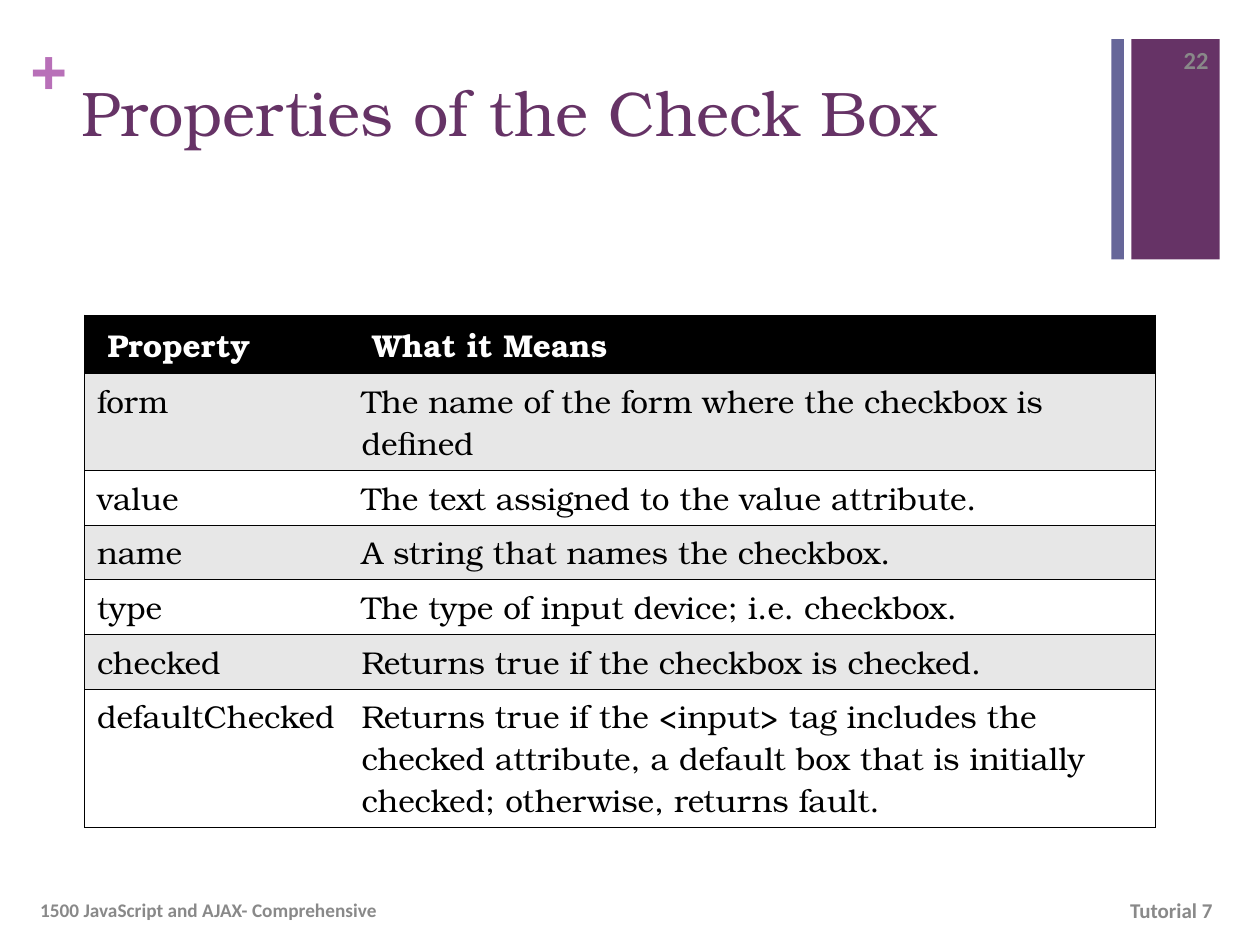
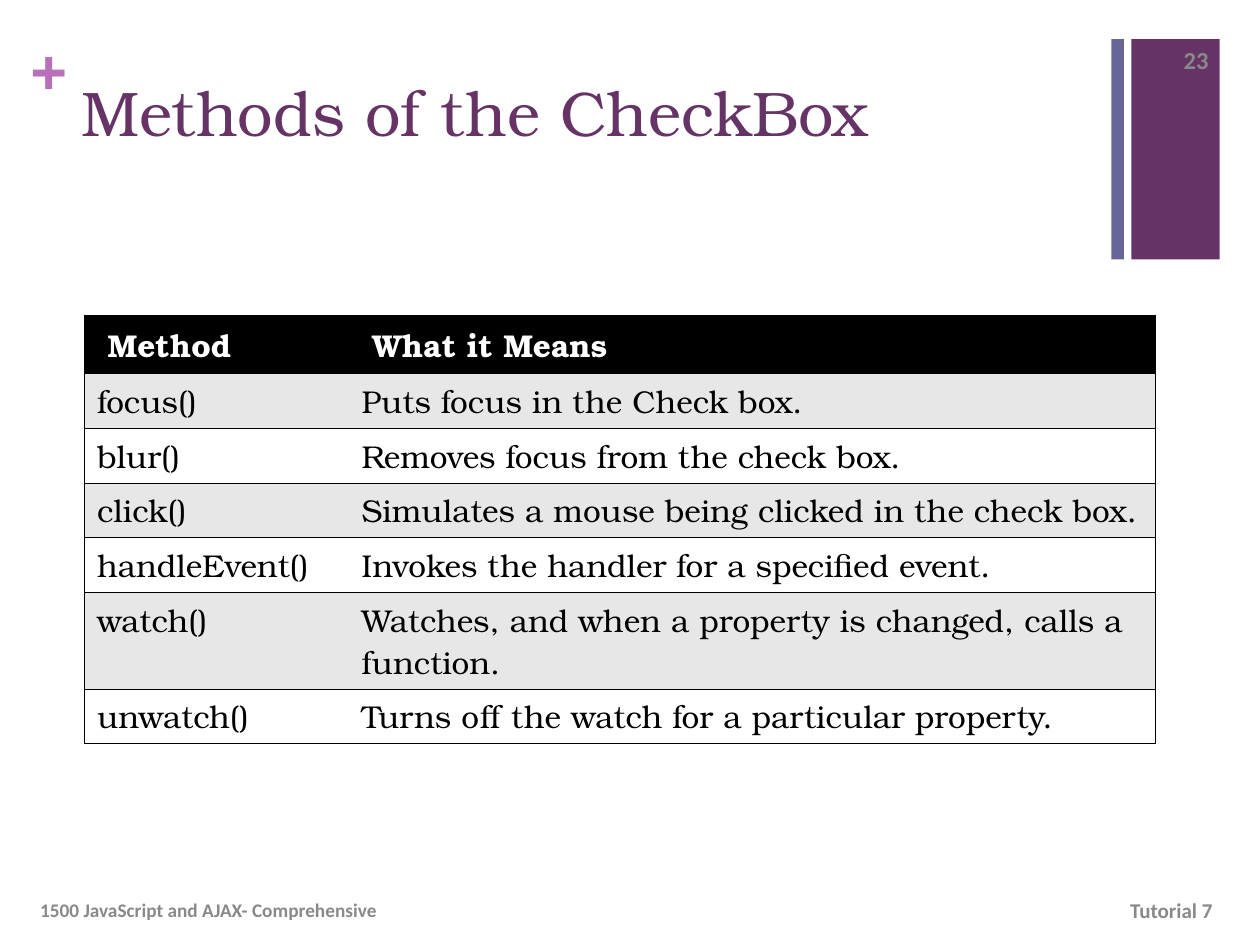
from dataclasses import dataclass
from lxml.etree import SubElement
from pptx import Presentation
from pptx.dml.color import RGBColor
from pptx.enum.shapes import MSO_SHAPE as Shape
from pptx.enum.text import MSO_ANCHOR as Anchor, MSO_AUTO_SIZE as AutoSize, PP_ALIGN as Align
from pptx.oxml.ns import qn
from pptx.util import Inches, Pt

SLIDES = [
    {
        "title": "Properties of the Check Box",
        "number": "22",
        "header": (" Property", " What it Means"),
        "entries": [
            ("form", "The name of the form where the checkbox is defined"),
            ("value", "The text assigned to the value attribute."),
            ("name", "A string that names the checkbox."),
            ("type", "The type of input device; i.e. checkbox."),
            ("checked", "Returns true if the checkbox is checked."),
            ("defaultChecked",
             "Returns true if the <input> tag includes the checked attribute, "
             "a default box that is initially checked; otherwise, returns fault."),
        ],
        "tall_row": (6, 1.0),
    },
    {
        "title": "Methods of the CheckBox",
        "number": "23",
        "header": (" Method", " What it Means"),
        "entries": [
            ("focus()", "Puts focus in the Check box."),
            ("blur()", "Removes focus from the check box."),
            ("click()", "Simulates a mouse being clicked in the check box."),
            ("handleEvent()", "Invokes the handler for a specified event."),
            ("watch()", "Watches, and when a property is changed, calls a function."),
            ("unwatch()", "Turns off the watch for a particular property."),
        ],
        "tall_row": (5, 0.7),
    },
]
COURSE = "1500 JavaScript and AJAX- Comprehensive"
TUTORIAL = "Tutorial 7 "


@dataclass(frozen=True)
class Style:
    size: float
    font: str
    color: str
    bold: bool = False


@dataclass(frozen=True)
class Theme:
    purple: str = "663366"
    slate: str = "666699"
    black: str = "000000"
    stripe: str = "E7E7E7"
    white: str = "FFFFFF"
    rule: float = 0.45
    title: Style = Style(36, "TeX Gyre Bonum", "663366")
    plus: Style = Style(36, "Arial", "B870B8", True)
    header: Style = Style(18, "TeX Gyre Bonum", "FFFFFF", True)
    entry: Style = Style(18, "TeX Gyre Bonum", "000000")
    course: Style = Style(11, "Calibri", "898989", True)
    tutorial: Style = Style(12, "Calibri", "898989", True)
    number: Style = Style(14, "Calibri", "898989", True)


THEME = Theme()
WIDTH, HEIGHT = 10, 7.5
TITLE_AREA = (0.55, 0.53, 8.26, 1.22)
PLUS_AREA = (0.24, 0.25, 0.28, 0.6)
FOOTER_TOP, LINE_HEIGHT = 7.02, 0.4
BAND_TOP, BAND_HEIGHT = 0.31, 1.75
BANDS = [(8.98, 0.7, THEME.purple), (8.82, 0.1, THEME.slate)]
TABLE_LEFT, TABLE_TOP = 0.67, 2.5
COLUMNS = (2.1, 6.4)
REGULAR_ROWS_HEIGHT = 2.43


def inches(*lengths):
    return [Inches(length) for length in lengths]


def write(frame, text, style, align=Align.LEFT):
    paragraph = frame.paragraphs[0]
    paragraph.alignment = align
    run = paragraph.add_run()
    run.text = text
    run.font.size = Pt(style.size)
    run.font.name = style.font
    run.font.bold = style.bold
    run.font.color.rgb = RGBColor.from_string(style.color)


def add_label(slide, area, text, style, align=Align.LEFT, anchor=Anchor.MIDDLE, inset=(0.1, 0.05)):
    frame = slide.shapes.add_textbox(*inches(*area)).text_frame
    frame.word_wrap = True
    frame.vertical_anchor = anchor
    frame.margin_left = frame.margin_right = Inches(inset[0])
    frame.margin_top = frame.margin_bottom = Inches(inset[1])
    write(frame, text, style, align)


def add_title(slide, text):
    title = slide.shapes.title
    title.left, title.top, title.width, title.height = inches(*TITLE_AREA)
    title.text_frame.vertical_anchor = Anchor.TOP
    title.text_frame.auto_size = AutoSize.NONE
    write(title.text_frame, text, THEME.title)


def add_frame(slide, number):
    for left, width, color in BANDS:
        band = slide.shapes.add_shape(Shape.RECTANGLE, *inches(left, BAND_TOP, width, BAND_HEIGHT))
        band.shadow.inherit = False
        band.fill.solid()
        band.fill.fore_color.rgb = RGBColor.from_string(color)
        band.line.fill.background()
    add_label(slide, PLUS_AREA, "+", THEME.plus, anchor=Anchor.TOP, inset=(0, 0))
    add_label(slide, (7.43, FOOTER_TOP, 2.33, LINE_HEIGHT), TUTORIAL, THEME.tutorial, Align.RIGHT)
    add_label(slide, (0.22, FOOTER_TOP, 6.7, LINE_HEIGHT), COURSE, THEME.course)
    add_label(slide, (9.08, 0.27, 0.61, LINE_HEIGHT), number, THEME.number, Align.RIGHT)


def rule_cell(cell, ruled_sides):
    properties = cell._tc.get_or_add_tcPr()
    for side in "LRTB":
        line = SubElement(properties, qn(f"a:ln{side}"), w=str(Pt(THEME.rule)))
        if side in ruled_sides:
            fill = SubElement(line, qn("a:solidFill"))
            SubElement(fill, qn("a:srgbClr"), val=THEME.black)
        else:
            SubElement(line, qn("a:noFill"))


def add_reference(slide, header, entries, tall_row):
    rows = [header, *entries]
    tall_index, tall_height = tall_row
    regular_height = REGULAR_ROWS_HEIGHT / (len(rows) - 1)
    area = (TABLE_LEFT, TABLE_TOP, sum(COLUMNS), REGULAR_ROWS_HEIGHT + tall_height)
    table = slide.shapes.add_table(len(rows), len(COLUMNS), *inches(*area)).table
    table.first_row = table.horz_banding = False
    for column, width in zip(table.columns, COLUMNS):
        column.width = Inches(width)
    for r, texts in enumerate(rows):
        table.rows[r].height = Inches(tall_height if r == tall_index else regular_height)
        style = THEME.entry if r else THEME.header
        background = (THEME.stripe if r % 2 else THEME.white) if r else THEME.black
        for c, text in enumerate(texts):
            cell = table.cell(r, c)
            rule_cell(cell, "TB" + "LR"[c])
            cell.fill.solid()
            cell.fill.fore_color.rgb = RGBColor.from_string(background)
            write(cell.text_frame, text, style)


def main():
    deck = Presentation()
    deck.slide_width, deck.slide_height = inches(WIDTH, HEIGHT)
    title_only = deck.slide_layouts[5]
    for content in SLIDES:
        slide = deck.slides.add_slide(title_only)
        add_title(slide, content["title"])
        add_reference(slide, content["header"], content["entries"], content["tall_row"])
        add_frame(slide, content["number"])
    deck.save("out.pptx")


if __name__ == "__main__":
    main()
